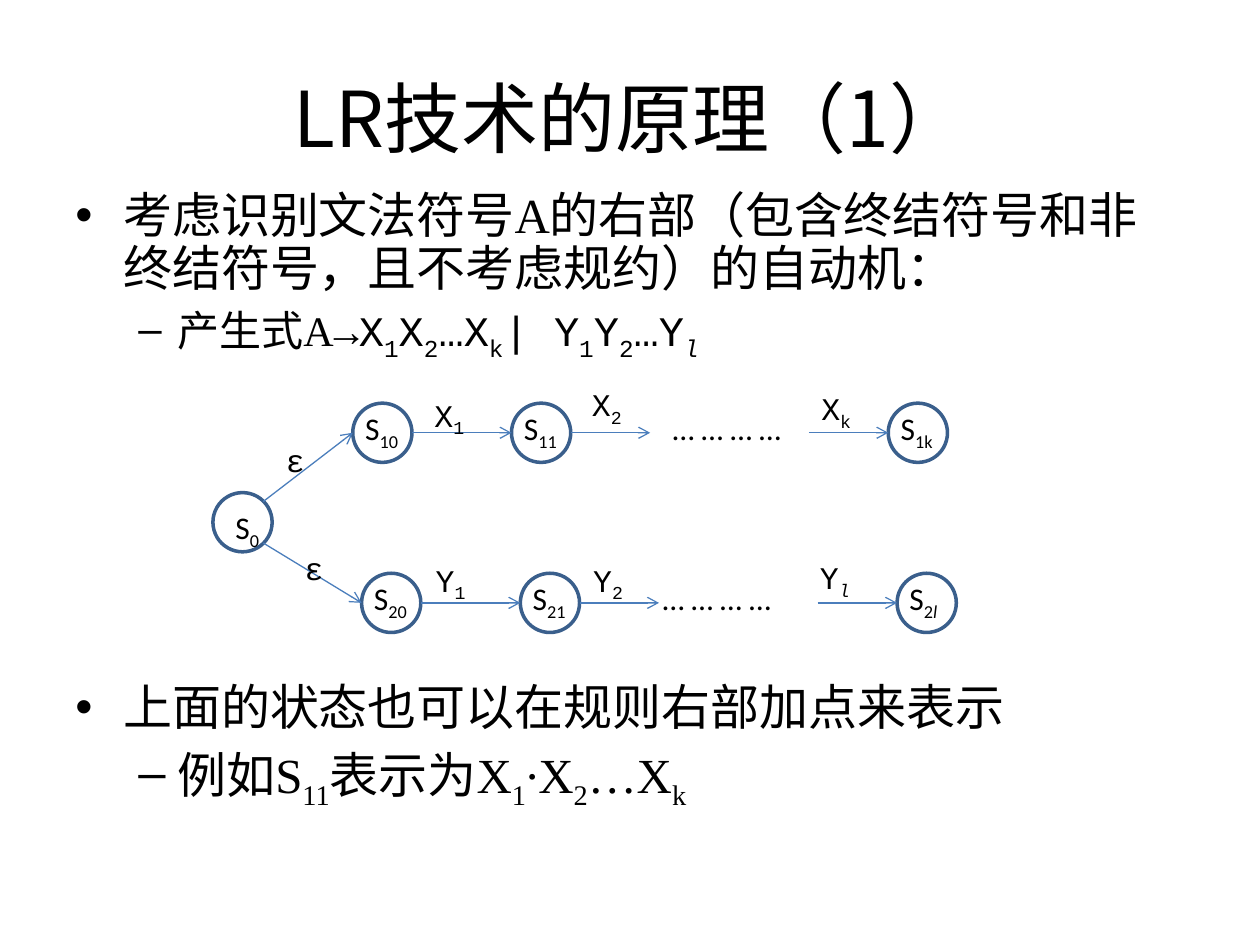
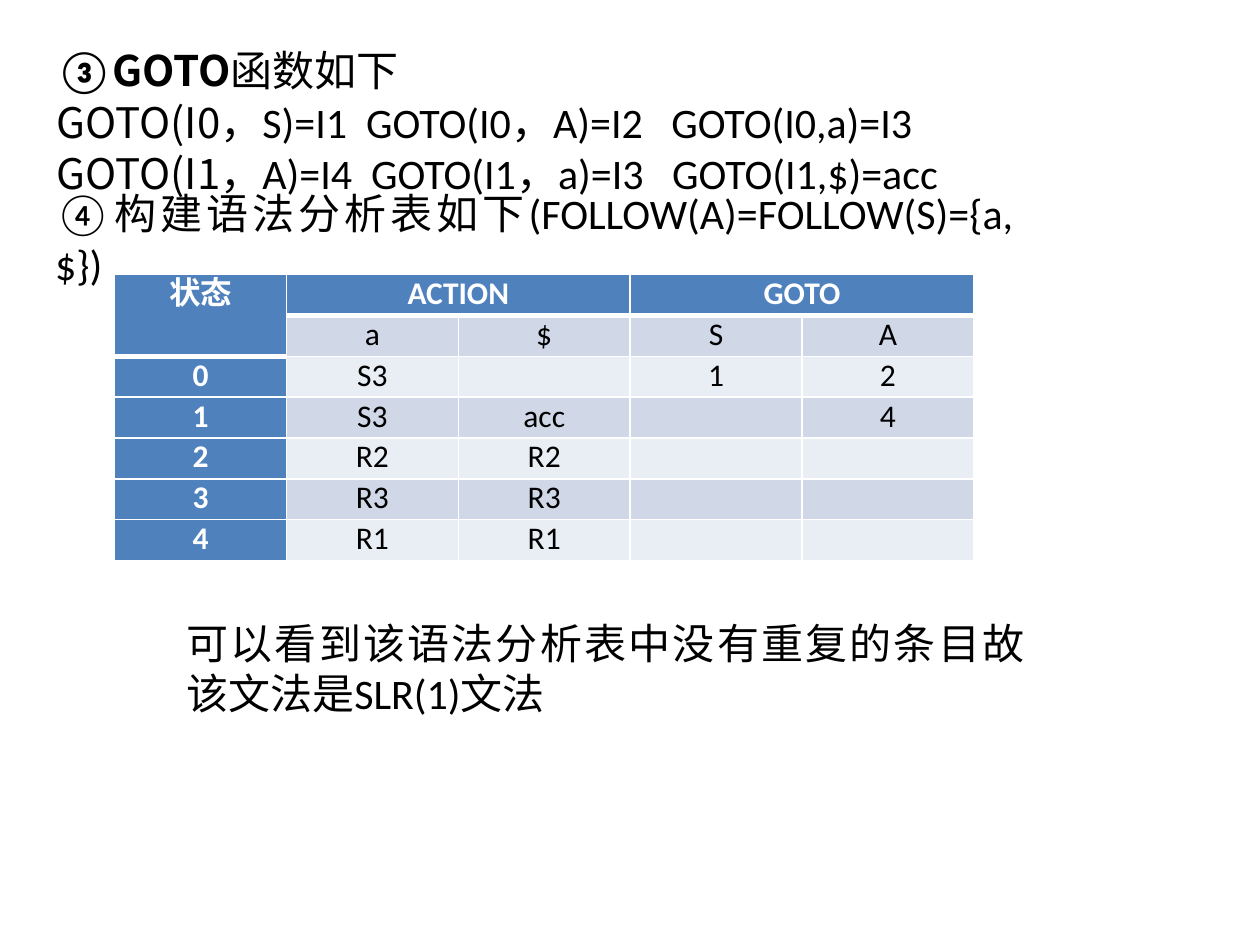
from dataclasses import dataclass
from itertools import groupby, product

from lxml import etree
from pptx import Presentation, util as u
from pptx.dml.color import RGBColor
from pptx.enum import shapes, text
from pptx.oxml.ns import qn


@dataclass(frozen=True)
class Theme:
    ink: str = "000000"
    paper: str = "FFFFFF"
    node_line: str = "3A5F8C"
    arrow: str = "4B7EBC"
    header: str = "4F81BD"
    bands: tuple = ("E9EDF4", "D0D8E8")
    sans: str = "Calibri"
    serif: str = "Times New Roman"
    mono: str = "Courier New"
    title_font: str = "Noto Sans CJK JP"
    code_font: str = "Noto Sans CJK SC"
    title: int = 44
    point: int = 28
    prose: int = 24
    label: int = 18


THEME = Theme()
UNIT = u.Inches(0.1)  # one grid cell; a slide has 100 columns and 75 rows


@dataclass(frozen=True)
class Box:
    """A region measured in grid columns and rows."""
    col: float
    row: float
    cols: float
    rows: float

    def inner(self, col, row, cols, rows):
        return Box(self.col + col, self.row + row, cols, rows)

    def emu(self):
        return [round(n * UNIT) for n in (self.col, self.row, self.cols, self.rows)]


SLIDE = Box(0, 0, 100, 75)


def rgb(color):
    return RGBColor.from_string(color)


def add_run(paragraph, words, font, size, color=THEME.ink, bold=False,
            italic=False, subscript=False):
    run = paragraph.add_run()
    run.text = words
    run.font.name, run.font.size = font, u.Pt(size)
    run.font.bold, run.font.italic = bold, italic
    run.font.color.rgb = rgb(color)
    props = run.font._element
    if subscript:
        props.set("baseline", "-25000")
    latin = props.find(qn("a:latin"))
    east_asian = etree.Element(qn("a:ea"))
    east_asian.set("typeface", font if font.startswith("Noto") else THEME.sans)
    latin.addnext(east_asian)


def add_formula(paragraph, formula, font, size):
    """Set what stands between ~ marks as subscript, with the index l in italics."""
    for place, piece in enumerate(formula.split("~")):
        if place % 2 == 0:
            if piece:
                add_run(paragraph, piece, font, size)
            continue
        for is_index_l, letters in groupby(piece, lambda letter: letter == "l"):
            add_run(paragraph, "".join(letters), font, size,
                    italic=is_index_l, subscript=True)


def add_frame(slide, box, anchor=text.MSO_ANCHOR.TOP):
    frame = slide.shapes.add_textbox(*box.emu()).text_frame
    frame.word_wrap = True
    frame.vertical_anchor = anchor
    return frame


def paragraphs(frame, count):
    return [frame.paragraphs[0]] + [frame.add_paragraph() for _ in range(count - 1)]


def add_label(slide, box, formula, font):
    add_formula(add_frame(slide, box).paragraphs[0], formula, font, THEME.label)


def add_title(slide, box, words):
    heading = add_frame(slide, box, text.MSO_ANCHOR.MIDDLE).paragraphs[0]
    heading.alignment = text.PP_ALIGN.CENTER
    add_run(heading, words, THEME.title_font, THEME.title)


def set_bullet(paragraph, level):
    mark, indent, hanging = (("•", 0.38, 0.38), ("–", 0.81, 0.31))[level]
    props = paragraph._p.get_or_add_pPr()
    props.set("marL", str(u.Inches(indent)))
    props.set("indent", str(-u.Inches(hanging)))
    font = etree.SubElement(props, qn("a:buFont"))
    font.set("typeface", "Arial")
    etree.SubElement(props, qn("a:buChar")).set("char", mark)


def add_points(slide, box, points):
    """Each point is its level, the space before it and its (formula, font, size) pieces."""
    frame = add_frame(slide, box)
    for paragraph, (level, before, pieces) in zip(paragraphs(frame, len(points)), points):
        paragraph.line_spacing = 0.9
        paragraph.space_before = u.Pt(before)
        set_bullet(paragraph, level)
        for piece in pieces:
            add_formula(paragraph, *piece)


def add_arrow(slide, box, start, end):
    ends = [round(n * UNIT) for x, y in (start, end) for n in (box.col + x, box.row + y)]
    arrow = slide.shapes.add_connector(shapes.MSO_CONNECTOR.STRAIGHT, *ends)
    arrow.line.color.rgb = rgb(THEME.arrow)
    arrow.line.width = u.Pt(0.75)
    etree.SubElement(arrow.line._get_or_add_ln(), qn("a:tailEnd")).set("type", "arrow")
    etree.SubElement(arrow._element.spPr, qn("a:effectLst"))


NODE = 4.7
LABEL = (8, 4)


def add_state(slide, box, name, shift=(0, 0)):
    circle = slide.shapes.add_shape(shapes.MSO_SHAPE.OVAL, *box.emu())
    circle.shadow.inherit = False
    circle.fill.background()
    circle.line.color.rgb = rgb(THEME.node_line)
    circle.line.width = u.Pt(2)
    add_label(slide, box.inner(*shift, *LABEL), name, THEME.sans)


def add_branch(slide, box, states, inputs, dots_col):
    """A chain of states; inputs are (symbol, column, row) above its arrows."""
    middle = NODE / 2
    state_cols = (0, 12.6, 42.5)
    for col, name in zip(state_cols, states):
        add_state(slide, box.inner(col, 0, NODE, NODE), name)
    for start, end in ((NODE, 12.6), (17.3, 23.6), (36.2, 42.5)):
        add_arrow(slide, box, (start, middle), (end, middle))
    add_label(slide, box.inner(dots_col, 0, 11.8, 4), "… … … …", THEME.sans)
    for symbol, col, row in inputs:
        add_label(slide, box.inner(col, row, *LABEL), symbol, THEME.mono)


def add_automaton(slide, box):
    start_row = 7.1
    add_state(slide, box.inner(0, start_row, NODE, NODE), "S~0~", (0.8, 0.7))
    branches = (
        ((11.1, 0), ("S~10~", "S~11~", "S~1k~"),
         (("X~1~", 5.5, -1.1), ("X~2~", 18, -1.9), ("X~k~", 36.2, -1.6)),
         24.4, 0.15, (4.8, 2.5)),
        ((11.8, 13.5), ("S~20~", "S~21~", "S~2l~"),
         (("Y~1~", 4.9, -1.5), ("Y~2~", 17.4, -1.5), ("Y~l~", 35.4, -1.7)),
         22.9, 0.85, (6.3, 11.1)),
    )
    for (col, row), states, inputs, dots_col, exit_share, epsilon in branches:
        add_branch(slide, box.inner(col, row, 47.2, NODE), states, inputs, dots_col)
        add_arrow(slide, box, (0.85 * NODE, start_row + exit_share * NODE),
                  (col, row + NODE / 2))
        add_label(slide, box.inner(*epsilon, 4.7, 4), "ε", THEME.mono)


def add_prose(slide, box, lines, pitch=None):
    """Justified lines, each a list of (words, font, bold) pieces."""
    frame = add_frame(slide, box)
    for paragraph, pieces in zip(paragraphs(frame, len(lines)), lines):
        paragraph.alignment = text.PP_ALIGN.JUSTIFY
        if pitch:
            paragraph.line_spacing = u.Pt(pitch)
        for words, font, bold in pieces:
            add_run(paragraph, words, font, THEME.prose, bold=bold)


def set_border(cell, side, points):
    edge = etree.SubElement(cell._tc.get_or_add_tcPr(), qn("a:" + side))
    edge.set("w", str(u.Pt(points)))
    fill = etree.SubElement(edge, qn("a:solidFill"))
    etree.SubElement(fill, qn("a:srgbClr")).set("val", THEME.paper)


def style_cell(cell, words, is_header, row, col):
    cell.margin_left = cell.margin_right = u.Inches(0.07)
    cell.margin_top = cell.margin_bottom = 0
    thick_top = row == (2 if col == 0 else 1)
    thick_bottom = row == 0 or (row == 1 and col == 0)
    widths = {"lnL": 1, "lnR": 1, "lnT": 3 if thick_top else 1,
              "lnB": 3 if thick_bottom else 1}
    for side, points in widths.items():
        set_border(cell, side, points)
    cell.fill.solid()
    cell.fill.fore_color.rgb = rgb(THEME.header if is_header else THEME.bands[row % 2])
    paragraph = cell.text_frame.paragraphs[0]
    paragraph.alignment = text.PP_ALIGN.CENTER
    if words:
        add_run(paragraph, words, THEME.sans, THEME.label,
                THEME.paper if is_header else THEME.ink, bold=is_header)


def add_parse_table(slide, box, rows):
    row_count, col_count = len(rows), len(rows[0])
    table = slide.shapes.add_table(row_count, col_count, *box.emu()).table
    for line in table.rows:
        line.height = round(box.rows / row_count * UNIT)
    for column in table.columns:
        column.width = round(box.cols / col_count * UNIT)
    for row, col in product(range(row_count), range(col_count)):
        style_cell(table.cell(row, col), rows[row][col], row == 0 or col == 0, row, col)
    for first, last in (((0, 0), (1, 0)), ((0, 1), (0, 2)), ((0, 3), (0, 4))):
        table.cell(*first).merge(table.cell(*last))


def build_principle(slide, page):
    add_title(slide, page.inner(5, 3, 90, 12.5), "LR技术的原理（1）")
    serif, mono = THEME.serif, THEME.mono
    add_points(slide, page.inner(5, 14.7, 90, 52.3), (
        (0, 5.6, [("考虑识别文法符号A的右部（包含终结符号和非终结符号，且不考虑规约）的自动机：",
                   serif, THEME.point)]),
        (1, 4.8, [("产生式A", serif, THEME.prose),
                  ("→X~1~X~2~…X~k~| Y~1~Y~2~…Y~l~", mono, THEME.prose)]),
        (0, 186, [("上面的状态也可以在规则右部加点来表示", serif, THEME.point)]),
        (1, 5.6, [("例如S~11~表示为X~1~∙X~2~…X~k~", serif, THEME.point)]),
    ))
    add_automaton(slide, page.inner(16.9, 32, 59.1, 18.2))


def build_parse_table(slide, page):
    sans, code = THEME.sans, THEME.code_font
    add_prose(slide, page.inner(3.5, 3, 84.3, 13.1), (
        [("③", sans, True), ("GOTO", code, True), ("函数如下", sans, False)],
        [("GOTO(I0", code, False),
         ("，S)=I1  GOTO(I0，A)=I2   GOTO(I0,a)=I3", sans, False)],
        [("GOTO(I1", code, False),
         ("，A)=I4  GOTO(I1，a)=I3   GOTO(I1,$)=acc", sans, False)],
    ), pitch=29.3)
    add_prose(slide, page.inner(3.4, 14.4, 78, 5), (
        [("④构建语法分析表如下(FOLLOW(A)=FOLLOW(S)={a,$})", sans, False)],))
    add_parse_table(slide, page.inner(9.1, 21.8, 68.2, 22.7), (
        ("状态", "ACTION", "", "GOTO", ""),
        ("", "a", "$", "S", "A"),
        ("0", "S3", "", "1", "2"),
        ("1", "S3", "acc", "", "4"),
        ("2", "R2", "R2", "", ""),
        ("3", "R3", "R3", "", ""),
        ("4", "R1", "R1", "", ""),
    ))
    add_prose(slide, page.inner(13.8, 48.5, 68.5, 12.1), (
        [("可以看到该语法分析表中没有重复的条目故该文法是SLR(1)文法", sans, False)],))


def main():
    deck = Presentation()
    deck.slide_width, deck.slide_height = SLIDE.emu()[2:]
    for build in (build_principle, build_parse_table):
        build(deck.slides.add_slide(deck.slide_layouts[6]), SLIDE)
    deck.save("out.pptx")


if __name__ == "__main__":
    main()
